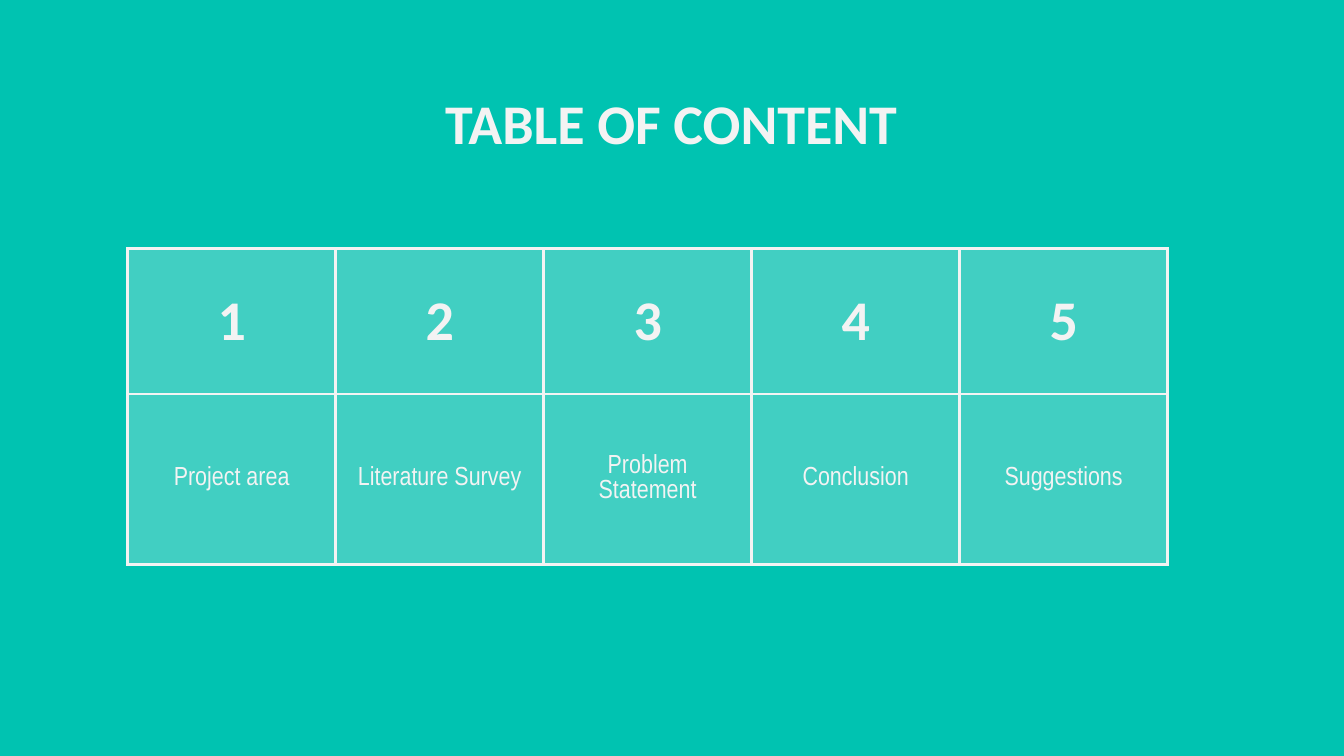
from lxml.etree import SubElement
from pptx import Presentation
from pptx.dml.color import RGBColor as RGB
from pptx.enum.text import MSO_ANCHOR as Anchor, PP_ALIGN as Align
from pptx.oxml import parse_xml
from pptx.oxml.ns import nsdecls, qn
from pptx.util import Inches, Pt

TITLE = "TABLE OF CONTENT"
SECTIONS = ["Project area", "Literature Survey", "Problem Statement",
            "Conclusion", "Suggestions"]

THEME = {
    "background": "00C3B1",
    "ink": "F3F3F3",
    "cell_opacity": 27,
    "border_width": 1.5,
    "heading": {"name": "Calibri", "size": Pt(30), "bold": True},
    "label": {"name": "Arial Narrow", "size": Pt(14), "bold": False},
}
SLIDE_WIDTH = 10
SLIDE_HEIGHT = SLIDE_WIDTH * 9 / 16
TITLE_BOX = (0.78, 0.56, 8.43, 0.63)
TABLE_LEFT, TABLE_TOP, TABLE_WIDTH = 0.95, 1.85, 7.74
ROW_HEIGHTS = (1.08, 1.27)
INSET = 0.1


def write(frame, text, style):
    paragraph = frame.paragraphs[0]
    paragraph.alignment = Align.CENTER
    run = paragraph.add_run()
    run.text = text
    for attribute, value in style.items():
        setattr(run.font, attribute, value)
    run.font.color.rgb = RGB.from_string(THEME["ink"])


def set_margins(holder):
    for side in ("left", "top", "right", "bottom"):
        setattr(holder, f"margin_{side}", Inches(INSET))


def paint_cell(cell):
    """Give the cell a translucent fill and a border on all four sides."""
    cell.fill.solid()
    cell.fill.fore_color.rgb = RGB.from_string(THEME["ink"])
    properties = cell._tc.get_or_add_tcPr()
    tint = properties.find(f".//{qn('a:srgbClr')}")
    SubElement(tint, qn("a:alpha"), val=str(THEME["cell_opacity"] * 1000))
    for position, side in enumerate("LRTB"):
        properties.insert(position, parse_xml(
            f'<a:ln{side} {nsdecls("a")} w="{Pt(THEME["border_width"])}">'
            f'<a:solidFill><a:srgbClr val="{THEME["ink"]}"/></a:solidFill>'
            f'</a:ln{side}>'))


def add_title(slide):
    frame = slide.shapes.add_textbox(*map(Inches, TITLE_BOX)).text_frame
    frame.word_wrap = True
    frame.vertical_anchor = Anchor.TOP
    set_margins(frame)
    write(frame, TITLE, THEME["heading"])


def add_contents(slide):
    numbers = [str(n) for n in range(1, len(SECTIONS) + 1)]
    rows = [(numbers, THEME["heading"]), (SECTIONS, THEME["label"])]
    table = slide.shapes.add_table(
        len(rows), len(SECTIONS), Inches(TABLE_LEFT), Inches(TABLE_TOP),
        Inches(TABLE_WIDTH), Inches(sum(ROW_HEIGHTS))).table
    table.first_row = table.horz_banding = False
    for column in table.columns:
        column.width = Inches(TABLE_WIDTH / len(SECTIONS))
    for r, (texts, style) in enumerate(rows):
        table.rows[r].height = Inches(ROW_HEIGHTS[r])
        for c, text in enumerate(texts):
            cell = table.cell(r, c)
            cell.vertical_anchor = Anchor.MIDDLE
            set_margins(cell)
            paint_cell(cell)
            write(cell.text_frame, text, style)


def main():
    deck = Presentation()
    deck.slide_width = Inches(SLIDE_WIDTH)
    deck.slide_height = Inches(SLIDE_HEIGHT)
    slide = deck.slides.add_slide(deck.slide_layouts[6])
    slide.background.fill.solid()
    slide.background.fill.fore_color.rgb = RGB.from_string(THEME["background"])
    add_title(slide)
    add_contents(slide)
    deck.save("out.pptx")


if __name__ == "__main__":
    main()
